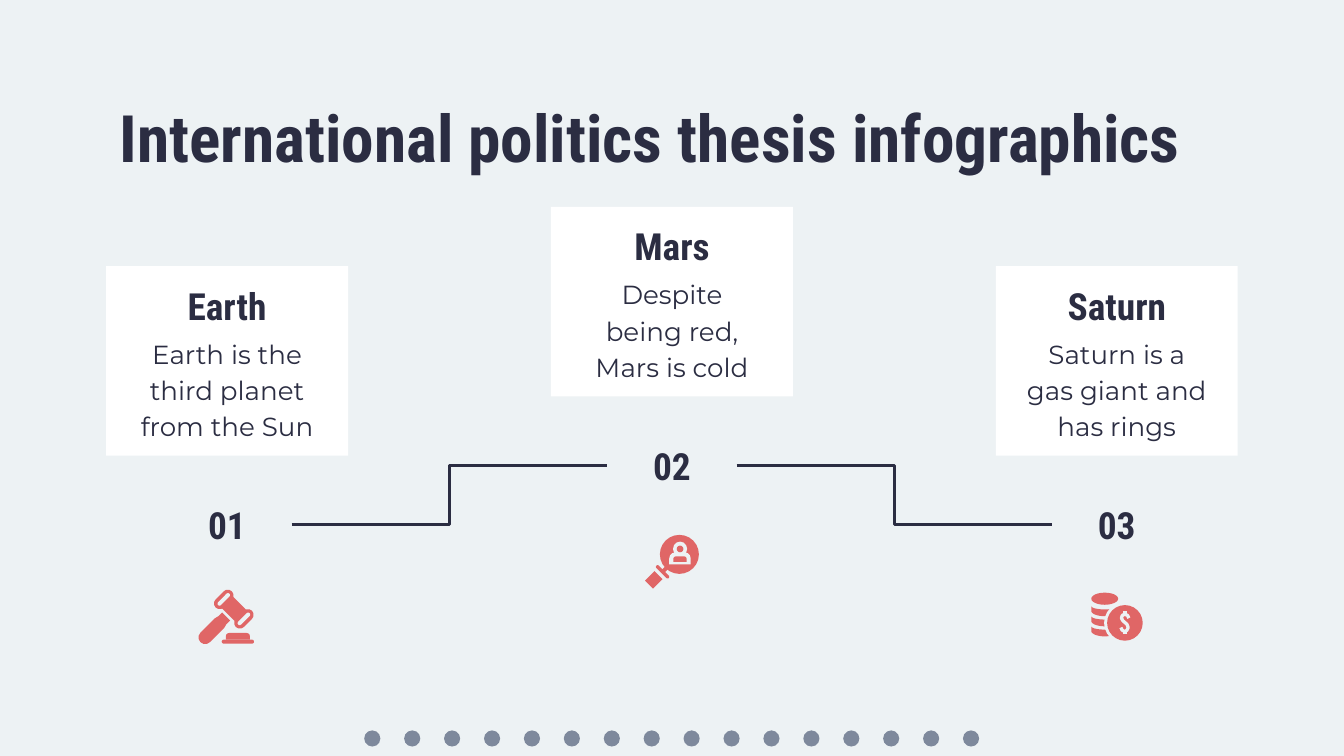
from math import cos, pi, sin

from pptx import Presentation
from pptx.dml.color import RGBColor
from pptx.enum.shapes import MSO_CONNECTOR, MSO_SHAPE
from pptx.enum.text import MSO_ANCHOR, PP_ALIGN
from pptx.oxml import parse_xml
from pptx.util import Inches, Pt

COLORS = {"background": "EDF2F4", "ink": "2B2D42", "dot": "7E899C",
          "card": "FFFFFF", "icon": "E06666"}
HEADING_FONT, BODY_FONT = "Roboto Condensed", "Montserrat"
RECTANGLE, CAPSULE, OVAL = MSO_SHAPE.RECTANGLE, MSO_SHAPE.ROUNDED_RECTANGLE, MSO_SHAPE.OVAL
DOME = MSO_SHAPE.ROUND_2_SAME_RECTANGLE

presentation = Presentation()
presentation.slide_width, presentation.slide_height = Inches(10), Inches(5.625)
slide = presentation.slides.add_slide(presentation.slide_layouts[6])
slide.background.fill.solid()
slide.background.fill.fore_color.rgb = RGBColor.from_string(COLORS["background"])
shapes = slide.shapes

# The grid has 100 columns and square cells; all lengths are in cells
CELL = presentation.slide_width // 100


def draw(kind, left, top, width, height, color=None, turn=0):
    shape = shapes.add_shape(kind, *(round(n * CELL) for n in (left, top, width, height)))
    shape.shadow.inherit = False
    shape.rotation = turn
    shape.line.fill.background()
    if color:
        shape.fill.solid()
        shape.fill.fore_color.rgb = RGBColor.from_string(COLORS[color])
    else:
        shape.fill.background()
    if kind == CAPSULE:
        shape.adjustments[0] = 0.5
    return shape


def write(shape, text, size, font=HEADING_FONT, bold=True, align=PP_ALIGN.CENTER,
          anchor=MSO_ANCHOR.MIDDLE, spacing=1.0):
    frame = shape.text_frame
    frame.word_wrap = True
    frame.vertical_anchor = anchor
    frame.margin_left = frame.margin_right = frame.margin_top = frame.margin_bottom = CELL
    paragraph = frame.paragraphs[0]
    paragraph.alignment = align
    paragraph.line_spacing = spacing
    run = paragraph.add_run()
    run.text = text
    run.font.size, run.font.name, run.font.bold = Pt(size), font, bold
    run.font.color.rgb = RGBColor.from_string(COLORS["ink"])


# Row of dots along the bottom edge
for index in range(16):
    draw(OVAL, 27.1 + index * 2.97, 54.35, 1.2, 1.2, "dot")

# Title
write(draw(RECTANGLE, 7.9, 6.2, 84.2, 6.2), "International politics thesis infographics", 35,
      align=PP_ALIGN.LEFT, anchor=MSO_ANCHOR.TOP)

# Cards with their numbers
COLUMN_STEP, NUMBER_SIZE = 33.1, 9.6
steps = [("Earth", "Earth is the third planet from the Sun", 19.8),
         ("Mars", "Despite being red, Mars is cold", 15.4),
         ("Saturn", "Saturn is a gas giant and has rings", 19.8)]
number_spots = []
for index, (name, description, top) in enumerate(steps):
    left = 7.9 + index * COLUMN_STEP
    draw(RECTANGLE, left, top, 18, 14.1, "card")
    write(draw(RECTANGLE, left + 1.25, top + 1.1, 15.5, 3.6), name, 20)
    write(draw(RECTANGLE, left + 1.25, top + 4, 15.5, 8.8), description, 14, BODY_FONT,
          bold=False, anchor=MSO_ANCHOR.TOP, spacing=1.15)
    number_left, number_top = left + 4.2, top + 14.45
    write(draw(OVAL, number_left, number_top, NUMBER_SIZE, NUMBER_SIZE), f"{index + 1:02}", 20)
    number_spots.append((number_left, number_top + NUMBER_SIZE / 2))

# Elbow connectors from each number to the next
for (x1, y1), (x2, y2) in zip(number_spots, number_spots[1:]):
    connector = shapes.add_connector(
        MSO_CONNECTOR.ELBOW, *(round(n * CELL) for n in (x1 + NUMBER_SIZE, y1, x2, y2)))
    connector.line.width = Pt(1.5)
    connector.line.color.rgb = RGBColor.from_string(COLORS["ink"])
    connector._element.spPr.append(parse_xml(
        '<a:effectLst xmlns:a="http://schemas.openxmlformats.org/drawingml/2006/main"/>'))

# Coin stack: curved bands
for top in (45.1, 45.85, 46.6):
    angles = [pi * n / 16 for n in range(17)]
    upper = [(82.2 - cos(a), top + 0.25 * sin(a)) for a in angles]
    lower = [(82.2 + cos(a), top + 0.35 + 0.4 * sin(a)) for a in angles]
    points = [(round(x * CELL), round(y * CELL)) for x, y in upper + lower]
    builder = shapes.build_freeform(*points[0])
    builder.add_line_segments(points[1:])
    band = builder.convert_to_shape()
    band.shadow.inherit = False
    band.fill.solid()
    band.fill.fore_color.rgb = RGBColor.from_string(COLORS["icon"])
    band.line.fill.background()

# Icon parts: kind, centre x, centre y, width, height, colour, turn
icon_parts = [
    # Coins
    (OVAL, 82.2, 44.55, 2, 0.9, "icon", 0),
    (OVAL, 83.7, 46.35, 3.1, 3.1, "background", 0),
    (OVAL, 83.7, 46.35, 2.65, 2.65, "icon", 0),
    # Magnifier with a person
    (OVAL, 50.55, 41.25, 2.9, 2.9, "icon", 0),
    (OVAL, 50.6, 40.85, 1.05, 1.1, "background", 0),
    (DOME, 50.6, 41.55, 1.6, 0.9, "background", 0),
    (OVAL, 50.6, 40.85, 0.5, 0.5, "icon", 0),
    (DOME, 50.6, 41.6, 1, 0.4, "icon", 0),
    (CAPSULE, 49.3, 42.55, 1.3, 0.25, "icon", 45),
    (RECTANGLE, 49.45, 42.4, 0.5, 0.3, "icon", -45),
    (RECTANGLE, 48.65, 43.15, 1, 0.85, "icon", -45),
    # Gavel
    (RECTANGLE, 17.4, 45.3, 1.35, 1.2, "icon", 45),
    (CAPSULE, 16.65, 44.6, 1.7, 0.85, "icon", -45),
    (CAPSULE, 18.15, 46.05, 1.7, 0.85, "icon", -45),
    (CAPSULE, 16.65, 44.6, 1.2, 0.3, "background", -45),
    (CAPSULE, 18.15, 46.05, 1.2, 0.3, "background", -45),
    (CAPSULE, 15.8, 46.9, 2.5, 1, "icon", -45),
    (RECTANGLE, 16.55, 46.15, 0.8, 0.85, "icon", -45),
    (DOME, 17.7, 47.35, 1.8, 0.5, "icon", 0),
    (CAPSULE, 17.7, 47.75, 2.4, 0.3, "icon", 0),
]
for kind, x, y, width, height, color, turn in icon_parts:
    piece = draw(kind, x - width / 2, y - height / 2, width, height, color, turn)
    if kind == DOME:
        piece.adjustments[0] = 0.5

# Dollar sign on the front coin
dollar = [(84, 46), (83.9, 45.8), (83.7, 45.7), (83.5, 45.8), (83.45, 46), (83.55, 46.2),
          (83.85, 46.45), (83.95, 46.7), (83.85, 46.9), (83.7, 47), (83.5, 46.9), (83.4, 46.7)]
for stroke in (dollar, [(83.7, 45.5), (83.7, 45.75)], [(83.7, 46.95), (83.7, 47.2)]):
    points = [(round(x * CELL), round(y * CELL)) for x, y in stroke]
    builder = shapes.build_freeform(*points[0])
    builder.add_line_segments(points[1:], close=False)
    mark = builder.convert_to_shape()
    mark.shadow.inherit = False
    mark.fill.background()
    mark.line.width = Pt(1.75)
    mark.line.color.rgb = RGBColor.from_string(COLORS["background"])

presentation.save("out.pptx")
